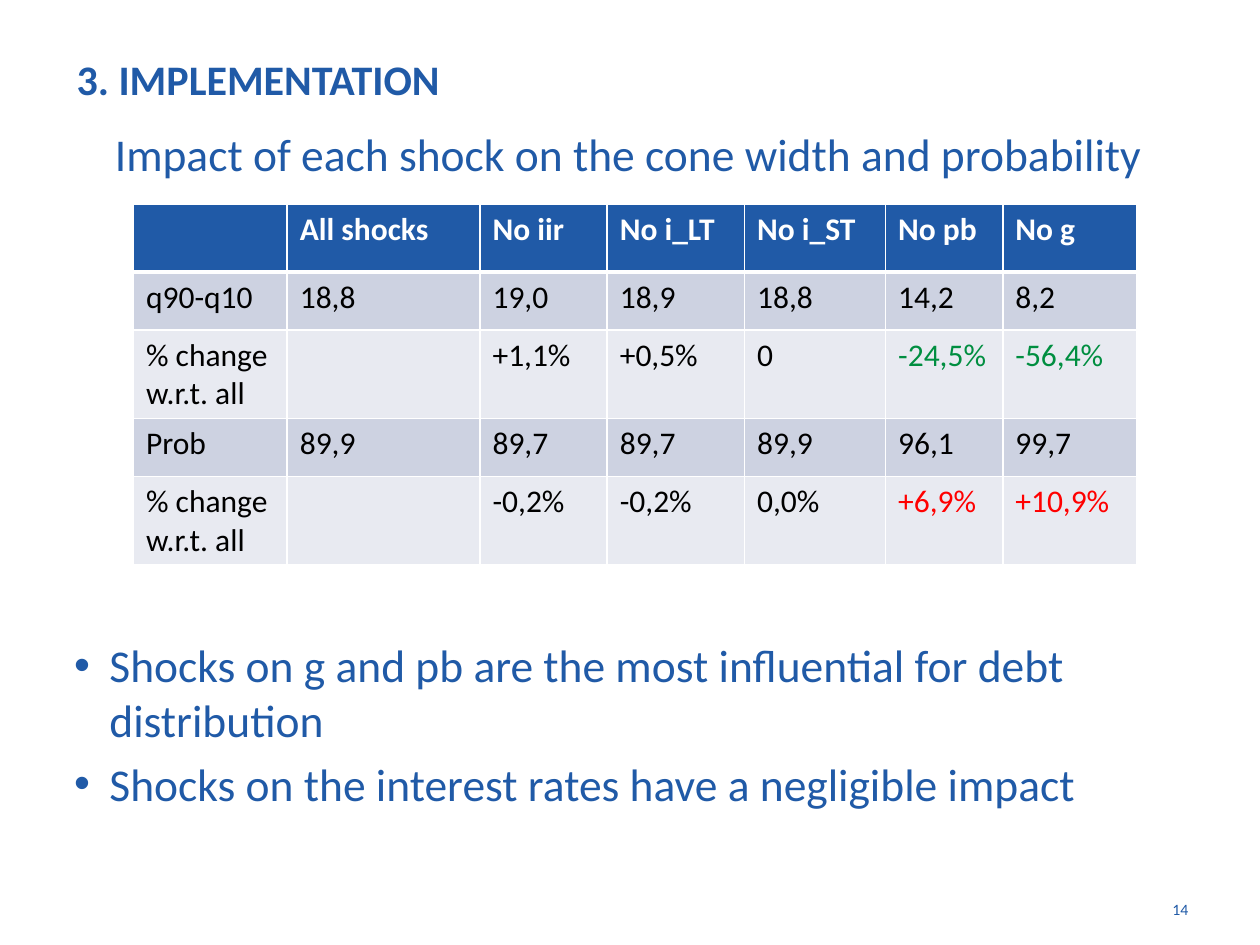
"""Build the slide on the impact of each shock on cone width and probability."""
from lxml.etree import SubElement as Sub
from pptx import Presentation as Deck
from pptx.dml.color import RGBColor as RGB
from pptx.enum.text import MSO_ANCHOR as Anchor, PP_ALIGN as Align
from pptx.oxml.ns import qn
from pptx.util import Inches, Pt

THEME = {
    "font": "Calibri",
    "blue": "205AA7", "white": "FFFFFF", "black": "000000",
    "green": "008E40", "red": "FF0000",
    "bands": ["CDD2E1", "E8EAF1"],
    "title": Pt(24), "body": Pt(26), "cell": Pt(18), "page": Pt(9),
}


def write(para, text, size, color="blue", bold=False):
    run = para.add_run()
    run.text = text
    style = {"name": THEME["font"], "size": THEME[size], "bold": bold}
    for key, value in style.items():
        setattr(run.font, key, value)
    run.font.color.rgb = RGB.from_string(THEME[color])


def add_box(left, top, width, height, **look):
    frame = slide.shapes.add_textbox(*map(Inches, (left, top, width, height))).text_frame
    for key, value in {"word_wrap": True, **look}.items():
        setattr(frame, key, value)
    return frame


deck = Deck()
deck.slide_width, deck.slide_height = Inches(10), Inches(7.5)
slide = deck.slides.add_slide(deck.slide_layouts[6])

title = add_box(0.51, 0, 9, 1.25, vertical_anchor=Anchor.MIDDLE)
write(title.paragraphs[0], "3. IMPLEMENTATION", "title", bold=True)

head = add_box(0.49, 0.95, 9, 0.55).paragraphs[0]
head.alignment = Align.CENTER
write(head, "Impact of each shock on the cone width and probability", "body")

rows = [
    ["", "All shocks", "No iir", "No i_LT", "No i_ST", "No pb", "No g"],
    ["q90-q10", "18,8", "19,0", "18,9", "18,8", "14,2", "8,2"],
    ["% change w.r.t. all", "", "+1,1%", "+0,5%", "0", "-24,5%", "-56,4%"],
    ["Prob", "89,9", "89,7", "89,7", "89,9", "96,1", "99,7"],
    ["% change w.r.t. all", "", "-0,2%", "-0,2%", "0,0%", "+6,9%", "+10,9%"],
]
widths = [1.22, 1.53, 1.01, 1.09, 1.12, 0.93, 1.06]
heights = [0.54, 0.46, 0.68, 0.46, 0.68]
accents = {2: "green", 4: "red"}

frame = slide.shapes.add_table(
    len(rows), len(widths), Inches(1.06), Inches(1.62),
    Inches(sum(widths)), Inches(sum(heights)))
table = frame.table
for col, width in zip(table.columns, widths):
    col.width = Inches(width)
for r, (row, height) in enumerate(zip(rows, heights)):
    table.rows[r].height = Inches(height)
    for c, text in enumerate(row):
        cell = table.cell(r, c)
        props = cell._tc.get_or_add_tcPr()
        thick = {"L": 1, "R": 1, "T": 3 if r == 1 else 1, "B": 3 if r == 0 else 1}
        for side, width in thick.items():
            line = Sub(props, qn(f"a:ln{side}"), w=str(Pt(width)))
            Sub(Sub(line, qn("a:solidFill")), qn("a:srgbClr"), val=THEME["white"])
        fill = THEME["bands"][(r - 1) % 2] if r else THEME["blue"]
        cell.fill.solid()
        cell.fill.fore_color.rgb = RGB.from_string(fill)
        color = "white" if r == 0 else accents.get(r, "black") if c > 4 else "black"
        if text:
            write(cell.text_frame.paragraphs[0], text, "cell", color, r == 0)

notes = [
    "Shocks on g and pb are the most influential for debt distribution",
    "Shocks on the interest rates have a negligible impact",
]
body = add_box(0.49, 5.01, 9, 1.55)
for i, text in enumerate(notes):
    para = body.add_paragraph() if i else body.paragraphs[0]
    para.space_before = Pt(5.2 * i)
    write(para, text, "body")
    props = para._p.get_or_add_pPr()
    for key, value in {"marL": 0.28, "indent": -0.28}.items():
        props.set(key, str(Inches(value)))
    Sub(props, qn("a:buFont"), typeface="Arial")
    Sub(props, qn("a:buChar"), char="•")

page = add_box(8.94, 7.09, 0.59, 0.39).paragraphs[0]
page.alignment = Align.RIGHT
write(page, "14", "page")

deck.save("out.pptx")
